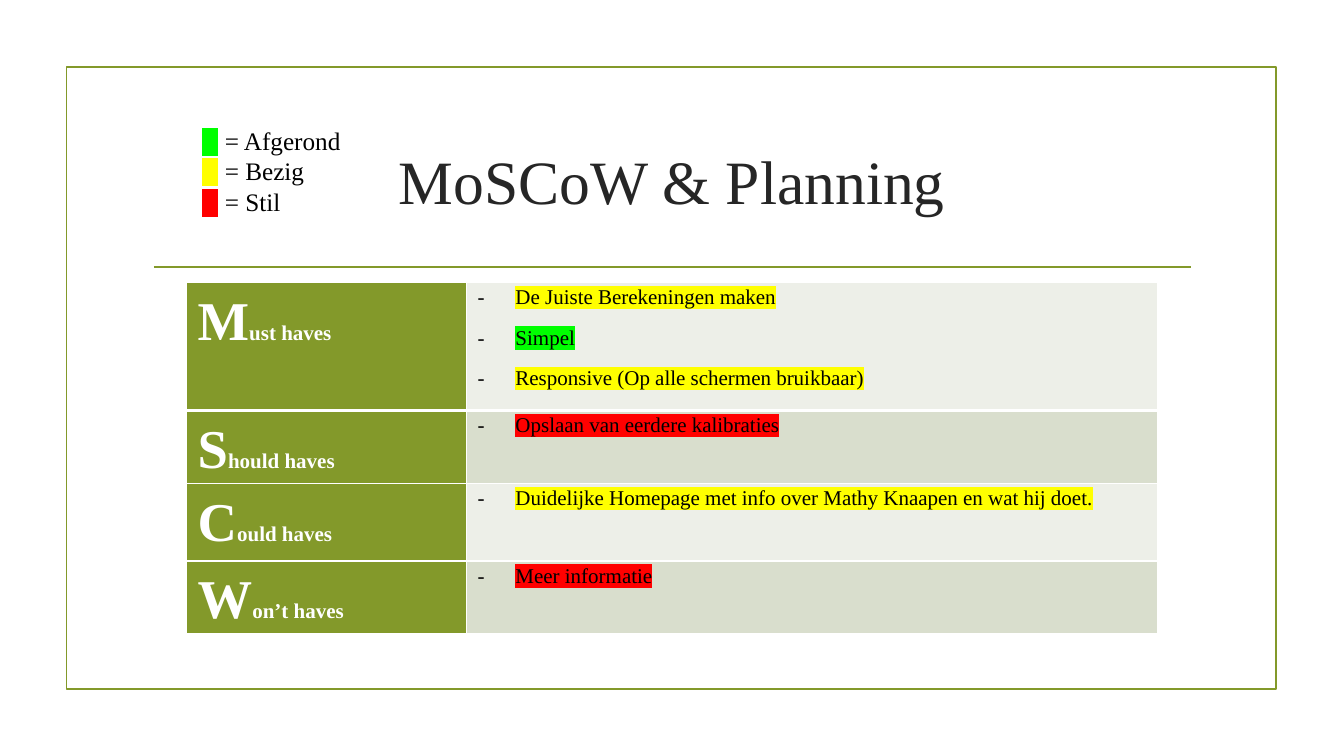
from lxml import etree
from pptx import Presentation
from pptx.dml.color import RGBColor
from pptx.enum import shapes, text
from pptx.oxml import ns
from pptx.util import Pt

HUES = {
    "olive": "83992A", "ink": "262626", "black": "000000", "white": "FFFFFF",
    "pale": "EDEFE8", "sage": "D9DECD",
    "done": "00FF00", "busy": "FFFF00", "still": "FF0000",
}
FONT = "Times New Roman"
ROWS = [
    ("M", "ust haves", 91.5, [
        ("De Juiste Berekeningen maken", "busy"),
        ("Simpel", "done"),
        ("Responsive (Op alle schermen bruikbaar)", "busy")]),
    ("S", "hould haves", 52, [("Opslaan van eerdere kalibraties", "still")]),
    ("C", "ould haves", 55.5, [
        ("Duidelijke Homepage met info over Mathy Knaapen en wat hij doet.",
         "busy")]),
    ("W", "on’t haves", 52, [("Meer informatie", "still")]),
]
LEGEND = [("done", "Afgerond"), ("busy", "Bezig"), ("still", "Stil")]


def fit(item, **vals):
    """Set each named value as an attribute of item."""
    for name, val in vals.items():
        setattr(item, name, val)


def sub(node, tag, **vals):
    return etree.SubElement(node, ns.qn(tag), **vals)


class Deck:
    def __init__(self, prs):
        self.slide = prs.slides.add_slide(prs.slide_layouts[5])
        self.shapes = self.slide.shapes

    def hue(self, name):
        return RGBColor.from_string(HUES[name])

    def run(self, para, words, size, hue="black", bold=False, mark=None):
        """Add a run; mark names the highlight colour behind it."""
        run = para.add_run()
        run.text = words
        fit(run.font, name=FONT, size=Pt(size), bold=bold)
        run.font.color.rgb = self.hue(hue)
        if mark:
            high = etree.Element(ns.qn("a:highlight"))
            sub(high, "a:srgbClr", val=HUES[mark])
            run.font._element.find(ns.qn("a:solidFill")).addnext(high)

    def paras(self, frame, count):
        """Yield count paragraphs, starting with the one already there."""
        for num in range(count):
            yield frame.add_paragraph() if num else frame.paragraphs[0]

    def stroke(self, line):
        fit(line, width=Pt(1.25))
        line.color.rgb = self.hue("olive")

    def frame(self, *box):
        rect = self.shapes.add_shape(shapes.MSO_SHAPE.RECTANGLE,
                                     *map(Pt, box))
        rect.shadow.inherit = False
        rect.fill.background()
        self.stroke(rect.line)

    def rule(self, *ends):
        line = self.shapes.add_connector(shapes.MSO_CONNECTOR.STRAIGHT,
                                         *map(Pt, ends))
        self.stroke(line.line)
        sub(line._element.spPr, "a:effectLst")

    def title(self, words, left, top, width, height):
        head = self.shapes.title
        fit(head, left=Pt(left), top=Pt(top),
            width=Pt(width), height=Pt(height))
        fit(head.text_frame, word_wrap=True,
            auto_size=text.MSO_AUTO_SIZE.NONE,
            vertical_anchor=text.MSO_ANCHOR.MIDDLE)
        para = head.text_frame.paragraphs[0]
        para.alignment = text.PP_ALIGN.CENTER
        self.run(para, words, 44, "ink")

    def legend(self, items, *box):
        frame = self.shapes.add_textbox(*map(Pt, box)).text_frame
        fit(frame, word_wrap=True,
            auto_size=text.MSO_AUTO_SIZE.SHAPE_TO_FIT_TEXT)
        for para, (hue, label) in zip(self.paras(frame, len(items)), items):
            self.run(para, "B", 18, hue, mark=hue)
            self.run(para, f" = {label}", 18)

    def cell(self, cell, fill, top, base):
        """Fill a cell and edge it; top and base are border widths."""
        fit(cell, margin_left=Pt(8), margin_right=Pt(8),
            margin_top=0, margin_bottom=0)
        cell.fill.solid()
        cell.fill.fore_color.rgb = self.hue(fill)
        props = cell._tc.get_or_add_tcPr()
        sides = {"L": 1, "R": 1, "T": top, "B": base}
        for num, (side, width) in enumerate(sides.items()):
            edge = etree.Element(ns.qn(f"a:ln{side}"), w=str(Pt(width)))
            sub(sub(edge, "a:solidFill"), "a:srgbClr", val=HUES["white"])
            props.insert(num, edge)

    def bullet(self, para):
        props = para._p.get_or_add_pPr()
        fit_in = str(Pt(27))
        props.set("marL", fit_in)
        props.set("indent", "-" + fit_in)
        sub(props, "a:buFont", typeface=FONT)
        sub(props, "a:buChar", char="-")

    def table(self, rows, left, top, widths):
        high = sum(row[2] for row in rows)
        grid = self.shapes.add_table(
            len(rows), len(widths),
            *map(Pt, (left, top, sum(widths), high))).table
        fit(grid, first_row=False, horz_banding=False)
        for col, width in zip(grid.columns, widths):
            col.width = Pt(width)
        space = dict(line_spacing=1.15, space_after=Pt(10))
        for num, (cap, rest, tall, tasks) in enumerate(rows):
            grid.rows[num].height = Pt(tall)
            edges = 3 if num == 1 else 1, 3 if num == 0 else 1
            name, body = grid.cell(num, 0), grid.cell(num, 1)
            self.cell(name, "olive", *edges)
            self.cell(body, "sage" if num % 2 else "pale", *edges)
            para = name.text_frame.paragraphs[0]
            fit(para, **space)
            self.run(para, cap, 39, "white", True)
            self.run(para, rest, 15, "white", True)
            lines = self.paras(body.text_frame, len(tasks))
            for para, (task, mark) in zip(lines, tasks):
                fit(para, **space)
                self.bullet(para)
                self.run(para, task, 15, mark=mark)


def main():
    prs = Presentation()
    fit(prs, slide_width=Pt(960), slide_height=Pt(540))
    deck = Deck(prs)
    deck.frame(47.5, 48, 864, 444)
    deck.rule(110, 190.8, 850.5, 190.8)
    deck.title("MoSCoW & Planning", 102, 77, 756, 103)
    deck.table(ROWS, 133.2, 201.8, (200, 493.5))
    deck.legend(LEGEND, 137, 86, 198, 72.7)
    prs.save("out.pptx")


if __name__ == "__main__":
    main()
